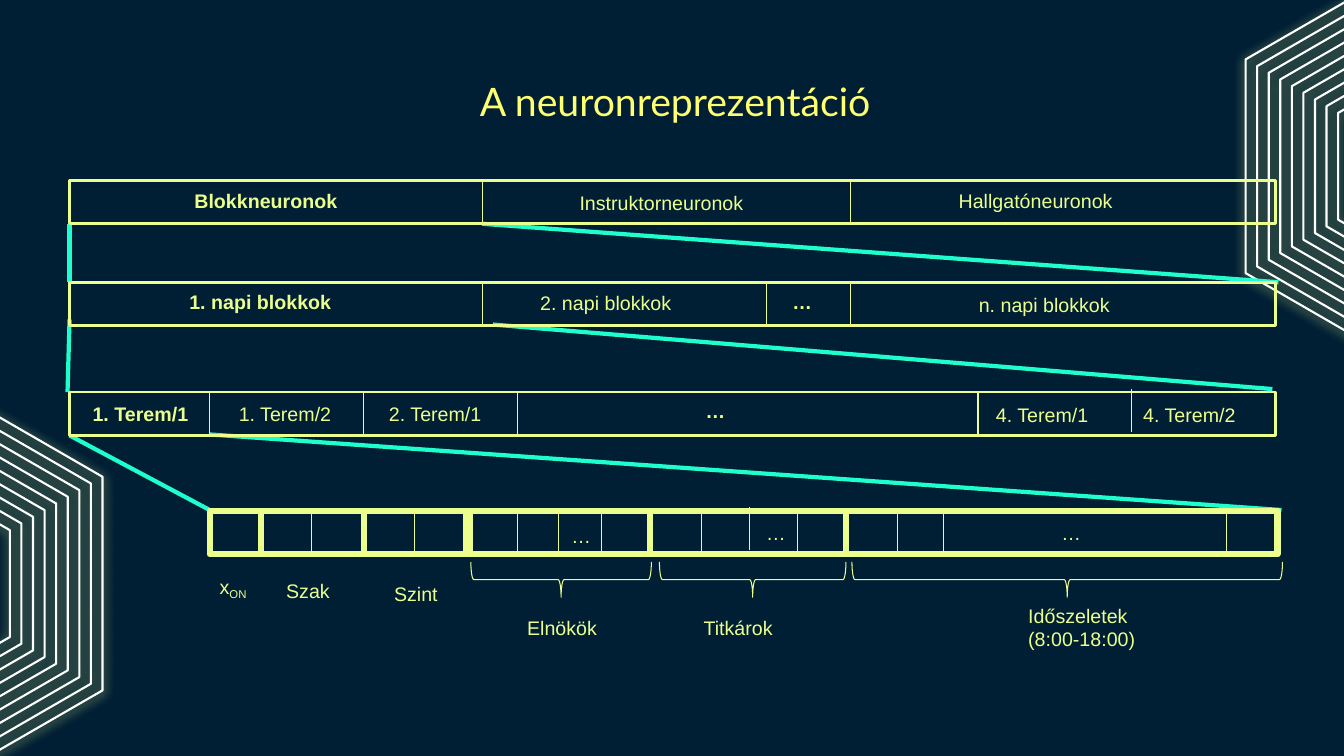
from dataclasses import dataclass
from math import sqrt
from lxml import etree
from pptx import Presentation
from pptx import util as u
from pptx.dml.color import RGBColor
from pptx.enum import shapes, text
from pptx.oxml import ns


@dataclass(frozen=True)
class Theme:
    background: str = "001F35"
    title: str = "FFFF70"
    lime: str = "ECFF8C"
    link: str = "1FFFCE"
    white: str = "FFFFFF"
    title_font: str = "Lato"
    body_font: str = "Arial"
    title_size: int = 28
    body_size: int = 14


theme = Theme()
deck = Presentation()
deck.slide_width, deck.slide_height = u.Inches(13.33), u.Inches(7.5)
page = deck.slides.add_slide(deck.slide_layouts[6])
page.background.fill.solid()
page.background.fill.fore_color.rgb = RGBColor.from_string(theme.background)


def outline(item, color, width):
    """Draw only the line of a shape or connector; return its effect list."""
    if hasattr(item, "fill"):
        item.fill.background()
    item.line.color.rgb = RGBColor.from_string(color)
    item.line.width = u.Pt(width)
    return etree.SubElement(item._element.spPr, ns.qn("a:effectLst"))


def write(words, left, top, width=2.27, height=0.34, sub="", bold=False,
          font=theme.body_font, size=theme.body_size, color=theme.lime,
          align=text.PP_ALIGN.LEFT, anchor=text.MSO_ANCHOR.TOP):
    box = page.shapes.add_textbox(*map(u.Inches, (left, top, width, height)))
    frame = box.text_frame
    frame.word_wrap = True
    frame.vertical_anchor = anchor
    para = frame.paragraphs[0]
    para.text = words
    para.alignment = align
    if sub:
        span = para.add_run()
        span.text = sub
        span._r.get_or_add_rPr().set("baseline", "-25000")
    for span in para.runs:
        span.font.name, span.font.size = font, u.Pt(size)
        span.font.bold = bold
        span.font.color.rgb = RGBColor.from_string(color)


# Nested glowing hexagons in two corners
for center_x, center_y in ((-0.82, 5.79), (14.19, 1.65)):
    for ring in range(9):
        radius = 2.12 * (1 - ring / 16)
        side = radius * sqrt(3) / 2
        corners = [(u.Inches(center_x + dx), u.Inches(center_y + dy)) for dx, dy in (
            (0, -radius), (-side, -radius / 2), (-side, radius / 2),
            (0, radius), (side, radius / 2), (side, -radius / 2))]
        builder = page.shapes.build_freeform(*corners[0])
        builder.add_line_segments(corners[1:], close=True)
        effects = outline(builder.convert_to_shape(), theme.white, 1.5)
        glow = etree.SubElement(effects, ns.qn("a:outerShdw"), blurRad=str(u.Pt(7.9)),
                                dist=str(u.Pt(1.5)), dir="5400000", rotWithShape="0")
        tint = etree.SubElement(glow, ns.qn("a:srgbClr"), val=theme.lime)
        etree.SubElement(tint, ns.qn("a:alpha"), val="90000")

# Title
write("A neuronreprezentáció", 1.04, 0.79, 11.31, 0.43, font=theme.title_font,
      size=theme.title_size, color=theme.title,
      align=text.PP_ALIGN.CENTER, anchor=text.MSO_ANCHOR.MIDDLE)

# Links from a cell to the row that details it
for ends in (
    (0.69, 2.22, 0.69, 2.8), (4.78, 2.22, 12.68, 2.8),
    (0.69, 3.17, 0.67, 3.89), (4.89, 3.22, 12.62, 3.86),
    (0.69, 4.32, 2.08, 5.06), (2.08, 4.31, 12.71, 5.06),
):
    outline(page.shapes.add_connector(shapes.MSO_CONNECTOR.STRAIGHT, *map(u.Inches, ends)),
            theme.link, 3)

# Neuron rows: left, top, width, frame weight, thin dividers, thick dividers
row_height = 0.43
divider_shift = {11.22: -0.03, 7.43: -0.04, 9.36: 0.02}
rows = (
    (0.69, 1.79, 11.96, 2, (4.79, 8.44), ()),
    (0.69, 2.8, 11.96, 2, (4.79, 7.6, 8.44), ()),
    (0.69, 3.89, 11.96, 2, (2.08, 3.61, 5.13, 9.7, 11.22), ()),
    (2.08, 5.07, 10.59, 4.5,
     (3.09, 4.11, 5.13, 5.54, 5.97, 6.96, 7.43, 7.91, 8.9, 9.36, 12.16),
     (2.59, 3.61, 4.62, 4.66, 6.45, 8.39)),
)
for left, top, width, weight, thin, thick in rows:
    outline(page.shapes.add_shape(shapes.MSO_SHAPE.RECTANGLE,
                                  *map(u.Inches, (left, top, width, row_height))),
            theme.lime, weight)
    for dividers, divider_weight in ((thin, 0.75), (thick, 4.5)):
        for x in dividers:
            y = top + divider_shift.get(x, 0)
            divider = page.shapes.add_connector(
                shapes.MSO_CONNECTOR.STRAIGHT, *map(u.Inches, (x, y, x, y + row_height)))
            outline(divider, theme.lime, divider_weight)

# Braces under the bottom row
brace_depth, brace_middle = 0.35, 5.75
for start, end in ((4.67, 6.46), (6.54, 8.39), (8.45, 12.72)):
    length = end - start
    brace = page.shapes.add_shape(
        shapes.MSO_SHAPE.LEFT_BRACE, u.Inches((start + end - brace_depth) / 2),
        u.Inches(brace_middle - length / 2), u.Inches(brace_depth), u.Inches(length))
    brace.rotation = 270
    outline(brace, theme.lime, 0.75)

# Bold cell labels
for words, left, top in (
    ("Blokkneuronok", 1.83, 1.83), ("1. napi blokkok", 1.78, 2.83), ("…", 7.76, 2.83),
    ("1. Terem/1", 0.82, 3.94), ("…", 6.9, 3.91),
):
    write(words, left, top, bold=True)

# Regular cell labels
for words, left, top in (
    ("Instruktorneuronok", 5.65, 1.84), ("Hallgatóneuronok", 9.41, 1.83),
    ("2. napi blokkok", 5.26, 2.84), ("n. napi blokkok", 9.61, 2.86),
    ("1. Terem/2", 2.27, 3.94), ("2. Terem/1", 3.76, 3.94),
    ("4. Terem/1", 9.78, 3.95), ("4. Terem/2", 11.24, 3.95),
    ("…", 5.57, 5.15), ("…", 7.5, 5.12), ("…", 10.43, 5.12),
):
    write(words, left, top)

# Captions under the bottom row
write("x", 2.08, 5.65, sub="ON")
for words, left, top in (
    ("Szak", 2.74, 5.69), ("Szint", 3.81, 5.72),
    ("Elnökök", 5.13, 6.06), ("Titkárok", 6.88, 6.06),
):
    write(words, left, top, width=1.94)
write("Időszeletek\v(8:00-18:00)", 10.1, 5.94, width=1.94, height=0.57)

deck.save("out.pptx")
